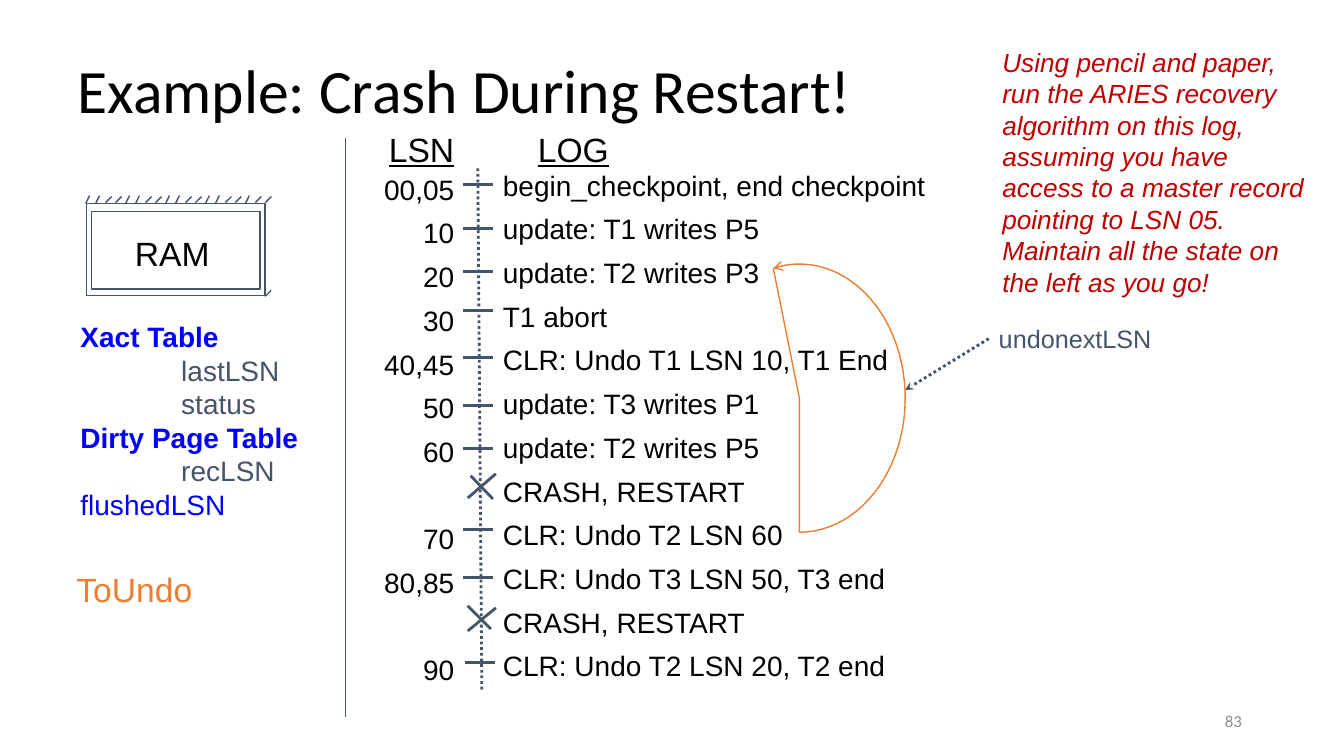
from dataclasses import dataclass
from math import cos, radians, sin

from lxml.etree import SubElement
from pptx import Presentation
from pptx.dml.color import RGBColor
from pptx.enum.dml import MSO_LINE
from pptx.enum.shapes import MSO_CONNECTOR, MSO_SHAPE
from pptx.enum.text import MSO_ANCHOR, PP_ALIGN
from pptx.oxml.ns import qn
from pptx.util import Pt


@dataclass(frozen=True)
class Theme:
    """Colours, fonts and type sizes of the slide."""
    black: str = "000000"
    slate: str = "44546A"
    blue: str = "0000FF"
    orange: str = "ED7D31"
    red: str = "C00000"
    grey: str = "8C8C8C"
    heading: str = "Calibri"
    body: str = "Arial"
    title: float = 44
    label: float = 24
    text: float = 20
    aside: float = 18.7
    note: float = 18
    footer: float = 12


T = Theme()
ROW_PITCH = 31.2
LOG = [
    ("00,05", "begin_checkpoint, end checkpoint"),
    ("10", "update: T1 writes P5"),
    ("20", "update: T2 writes P3"),
    ("30", "T1 abort"),
    ("40,45", "CLR: Undo T1 LSN 10, T1 End"),
    ("50", "update: T3 writes P1"),
    ("60", "update: T2 writes P5"),
    ("", "CRASH, RESTART"),
    ("70", "CLR: Undo T2 LSN 60"),
    ("80,85", "CLR: Undo T3 LSN 50, T3 end"),
    ("", "CRASH, RESTART"),
    ("90", "CLR: Undo T2 LSN 20, T2 end"),
]
STATE = [
    ("Xact Table", T.blue, True),
    ("\tlastLSN", T.slate, False),
    ("\tstatus", T.slate, False),
    ("Dirty Page Table", T.blue, True),
    ("\trecLSN", T.slate, False),
    ("flushedLSN", T.blue, False),
]
TICKS = [131.8, 163.4, 193.7, 221.8, 255.6, 289.4, 320.4, 378, 412.6]
CRASHES = [((336.2, 339.8), (352.1, 356.4)), ((334.1, 432.7), (350.6, 449.3))]
CRASH_BACKSTROKES = [((354.2, 338.4), (334.1, 355.7)), ((354.2, 434.2), (334.1, 450.7))]
INSTRUCTIONS = (
    "Using pencil and paper, run the ARIES recovery algorithm on this log, "
    "assuming you have access to a master record pointing to LSN 05. "
    "Maintain all the state on the left as you go!"
)


def add_text(s, box, lines, size, color=T.black, font=T.body, inset=(7.2, 3.6),
             anchor=MSO_ANCHOR.TOP, tab=None, para=None, **style):
    """Add a text box with one paragraph per (text, format) pair."""
    sp = s.shapes.add_textbox(*map(Pt, box))
    tf = sp.text_frame
    x, y = map(Pt, inset)
    frame = {"word_wrap": True, "vertical_anchor": anchor, "margin_left": x,
             "margin_right": x, "margin_top": y, "margin_bottom": y}
    for name, value in frame.items():
        setattr(tf, name, value)
    for i, (text, own) in enumerate(lines):
        p = tf.add_paragraph() if i else tf.paragraphs[0]
        if tab:
            tabs = SubElement(p._p.get_or_add_pPr(), qn("a:tabLst"))
            SubElement(tabs, qn("a:tab"), pos=str(Pt(tab)), algn="l")
        own = {"color": color, **own}
        for name, value in (para or {}).items():
            setattr(p, name, value)
        if "gap" in own:
            p.space_before = Pt(own["gap"])
        r = p.add_run()
        r.text = text
        r.font.color.rgb = RGBColor.from_string(own["color"])
        values = {"name": font, "size": Pt(size), "bold": own.get("bold"), **style}
        for name, value in values.items():
            setattr(r.font, name, value)
    return sp


def style_line(sp, color, width, dash=None, **ends):
    """Set colour, width, dash and arrowheads of an outline."""
    sp.line.color.rgb = RGBColor.from_string(color)
    sp.line.width = Pt(width)
    if dash:
        sp.line.dash_style = dash
    for end, kind in ends.items():
        SubElement(sp.line._get_or_add_ln(), qn(f"a:{end}"), type=kind)


def add_line(s, start, end, width=1, dash=None, **ends):
    """Add a straight slate connector."""
    sp = s.shapes.add_connector(MSO_CONNECTOR.STRAIGHT, *map(Pt, (*start, *end)))
    style_line(sp, T.slate, width, dash, **ends)
    SubElement(sp._element.spPr, qn("a:effectLst"))
    return sp


def add_frame(s, *box):
    """Add an unfilled rectangle."""
    sp = s.shapes.add_shape(MSO_SHAPE.RECTANGLE, *map(Pt, box))
    sp.shadow.inherit = False
    sp.fill.background()
    style_line(sp, T.slate, 1)


def add_path(s, points, **ends):
    """Add an open orange outline through the points."""
    points = [(Pt(x), Pt(y)) for x, y in points]
    fb = s.shapes.build_freeform(*points[0])
    fb.add_line_segments(points[1:], close=False)
    sp = fb.convert_to_shape()
    sp.shadow.inherit = False
    sp.fill.background()
    style_line(sp, T.orange, 1, **ends)


def add_ram(s):
    """Draw the memory chip with its hatched top edge."""
    add_text(s, (89.3, 162.7, 72, 36), [("RAM", {})], T.label)
    add_frame(s, 61.9, 145.4, 127.4, 65.5)
    add_frame(s, 65.5, 151.2, 120.2, 55.4)
    for i in range(19):
        x = 61.2 + 7.13 * i
        steep = i % 4 < 2 and i < 17
        start, end = ((x, 145.4), (x + 2.8, 139.7)) if steep else ((x, 144.7), (x + 4.3, 140.4))
        add_line(s, start, end)
    add_line(s, (193.7, 207.4), (189.4, 211.7))


def add_log(s):
    """Draw the log records, their numbers and the time line."""
    spacing = {"line_spacing": 1.3}
    add_text(s, (352.1, 109.4, 324.7, 385.2), [(text, {}) for _, text in LOG], T.text, para=spacing)
    add_line(s, (341.3, 120.2), (344.2, 493.9), 2, MSO_LINE.ROUND_DOT)
    for y in TICKS:
        add_line(s, (330.5, y), (352.1, y), 2)
    add_line(s, (331.9, 473), (353.5, 473), 2)
    for start, end in CRASHES + CRASH_BACKSTROKES:
        add_line(s, start, end, 2)
    add_text(s, (270.7, 88.6, 172.1, 36), [("LSN\tLOG", {})], T.label, tab=106.4, underline=True)
    numbers = [(lsn, {} if i == 0 or LOG[i - 1][0] else {"gap": ROW_PITCH})
               for i, (lsn, _) in enumerate(LOG) if lsn]
    add_text(s, (250.6, 112.3, 81, 416.9), numbers, T.text,
             para={**spacing, "alignment": PP_ALIGN.RIGHT})


def add_undo_link(s):
    """Draw the half ellipse from LSN 70 back to LSN 20 and its label."""
    cx, cy, rx, ry = 571, 284.4, 75.6, 95.8
    first, last, steps = -104.3, 90, 48
    angles = [radians(first + (last - first) * i / steps) for i in range(steps + 1)]
    arc = [(cx + rx * cos(a), cy + ry * sin(a)) for a in angles]
    label = add_text(s, (706.3, 227.5, 126, 28.8), [("undonextLSN", {})], T.note, T.slate)
    pointer = add_line(s, (706.3, 241.9), (646.6, 278.6), 2, MSO_LINE.ROUND_DOT, tailEnd="stealth")
    pointer.begin_connect(label, 1)
    add_path(s, [arc[-1], (cx, cy), arc[0]])
    add_path(s, arc, headEnd="arrow")


def main():
    """Build the slide and save it."""
    prs = Presentation()
    prs.slide_width, prs.slide_height = Pt(960), Pt(540)
    s = prs.slides.add_slide(prs.slide_layouts[6])
    add_text(s, (48.2, 21.6, 864, 90), [("Example: Crash During Restart!", {})], T.title,
             font=T.heading, anchor=MSO_ANCHOR.MIDDLE, para={"line_spacing": 0.9})
    add_text(s, (50.4, 224.6, 182.2, 176.4),
             [(text, {"color": color, "bold": bold}) for text, color, bold in STATE], T.text, tab=72)
    add_line(s, (247, 98.6), (247, 511.9))
    add_text(s, (47.5, 402.5, 113, 36), [("ToUndo", {})], T.label, T.orange)
    add_ram(s)
    add_log(s)
    add_undo_link(s)
    add_text(s, (706.3, 28.1, 243, 190.8), [(INSTRUCTIONS, {})], T.aside, T.red,
             inset=(9.6, 4.8), italic=True)
    add_text(s, (678.2, 500.4, 216, 28.8), [("83", {})], T.footer, T.grey, T.heading,
             anchor=MSO_ANCHOR.MIDDLE, para={"alignment": PP_ALIGN.RIGHT})
    prs.save("out.pptx")


if __name__ == "__main__":
    main()
